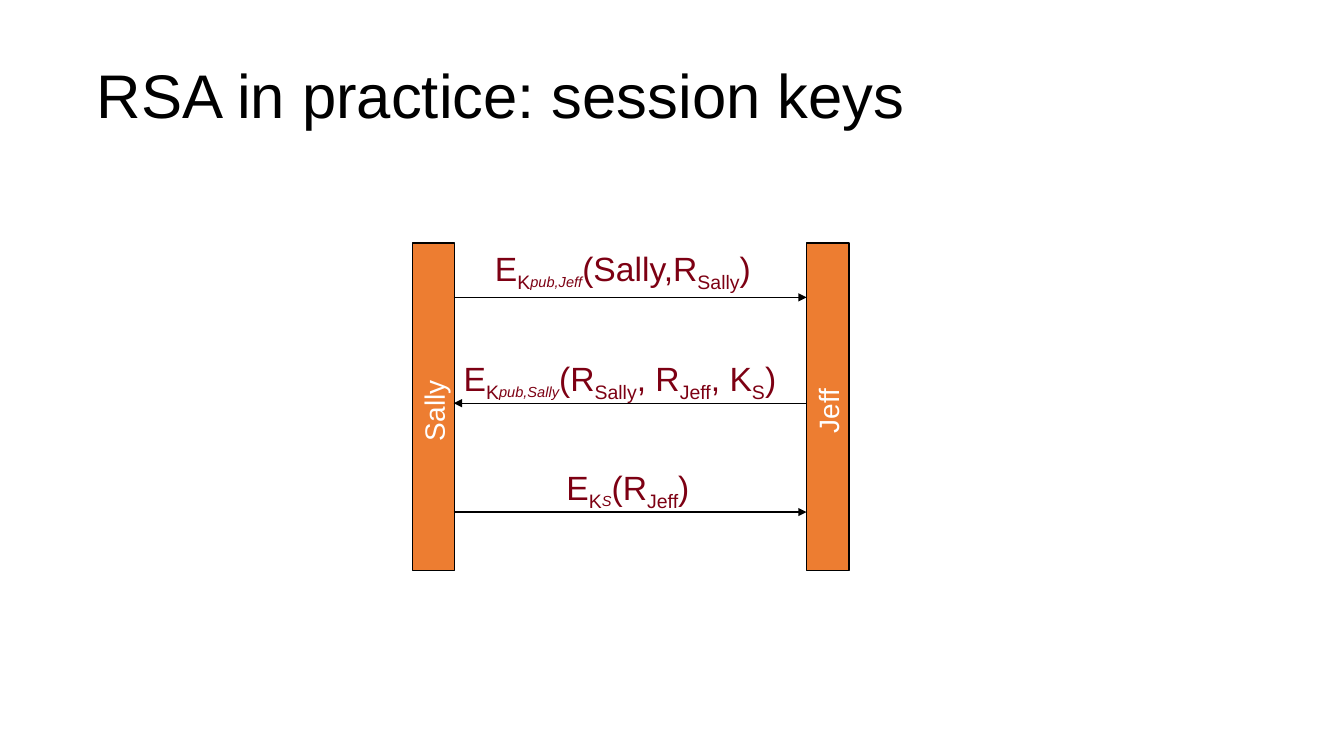
import pptx
import pptx.util
import pptx.dml.color
import pptx.enum.shapes
import pptx.enum.text
import lxml.etree

PX = 9144
DRAWING = "{http://schemas.openxmlformats.org/drawingml/2006/main}"


def color(hex_code):
    return pptx.dml.color.RGBColor.from_string(hex_code)


def write(box, pieces, ink):
    frame = box.text_frame
    frame.word_wrap = False
    frame.auto_size = pptx.enum.text.MSO_AUTO_SIZE.SHAPE_TO_FIT_TEXT
    for text, size, italic, lowered in pieces:
        run = frame.paragraphs[0].add_run()
        run.text = text
        looks = {"name": "Arial", "size": pptx.util.Pt(size), "italic": italic}
        for key, value in looks.items():
            setattr(run.font, key, value)
        run.font.color.rgb = color(ink)
        if lowered:
            run.font._element.set("baseline", "-25000") if hasattr(run.font, "_element") else run._r.get_or_add_rPr().set("baseline", "-25000")


deck = pptx.Presentation()
deck.slide_width = 1333 * PX
deck.slide_height = 750 * PX
slide = deck.slides.add_slide(deck.slide_layouts[5])

title = slide.shapes.title
for key, value in {"left": 86, "top": 50, "width": 1120, "height": 95}.items():
    setattr(title, key, value * PX)
title.text_frame.text = "RSA in practice: session keys"
title.text_frame.auto_size = pptx.enum.text.MSO_AUTO_SIZE.NONE
title.text_frame.vertical_anchor = pptx.enum.text.MSO_ANCHOR.MIDDLE
heading = title.text_frame.paragraphs[0]
heading.alignment = pptx.enum.text.PP_ALIGN.LEFT
heading.line_spacing = 0.9
heading.font.name = "Arial"
heading.font.size = pptx.util.Pt(44)
heading.font.color.rgb = color("000000")

for party, bar_left, label_left, label_width in [
    ("Sally", 409, 390, 81),
    ("Jeff", 800, 789, 65),
]:
    bar = slide.shapes.add_shape(
        pptx.enum.shapes.MSO_SHAPE.RECTANGLE,
        bar_left * PX, 241 * PX, 42 * PX, 325 * PX)
    bar.shadow.inherit = False
    bar.fill.solid()
    bar.fill.fore_color.rgb = color("ED7D31")
    bar.line.color.rgb = color("000000")
    bar.line.width = pptx.util.Pt(1)
    label = slide.shapes.add_textbox(label_left * PX, 385 * PX, label_width * PX, 44 * PX)
    label.rotation = 270
    write(label, [(party, 20, False, False)], "FFFFFF")

SALLY_EDGE, JEFF_EDGE = 450, 800
messages = [
    (SALLY_EDGE, JEFF_EDGE, 295, 481, 241, 292, "pub,Jeff",
     ["(Sally,R", "Sally", ")"]),
    (JEFF_EDGE, SALLY_EDGE, 400, 450, 350, 353, "pub,Sally",
     ["(R", "Sally", ", R", "Jeff", ", K", "S", ")"]),
    (SALLY_EDGE, JEFF_EDGE, 508, 552, 458, 151, "S",
     ["(R", "Jeff", ")"]),
]
for sender, receiver, arrow_y, left, top, width, key_owner, payload in messages:
    arrow = slide.shapes.add_connector(
        pptx.enum.shapes.MSO_CONNECTOR.STRAIGHT,
        sender * PX, arrow_y * PX, receiver * PX, arrow_y * PX)
    arrow.line.color.rgb = color("000000")
    arrow.line.width = pptx.util.Pt(1)
    stroke = arrow.line._get_or_add_ln()
    lxml.etree.SubElement(stroke, DRAWING + "tailEnd", type="triangle")
    lxml.etree.SubElement(arrow._element.spPr, DRAWING + "effectLst")

    formula = slide.shapes.add_textbox(left * PX, top * PX, width * PX, 50 * PX)
    pieces = [("E", 24, False, False), ("K", 24, False, True), (key_owner, 18, True, True)]
    for position, text in enumerate(payload):
        pieces.append((text, 24, False, position % 2 == 1))
    write(formula, pieces, "7D0013")

deck.save("out.pptx")
